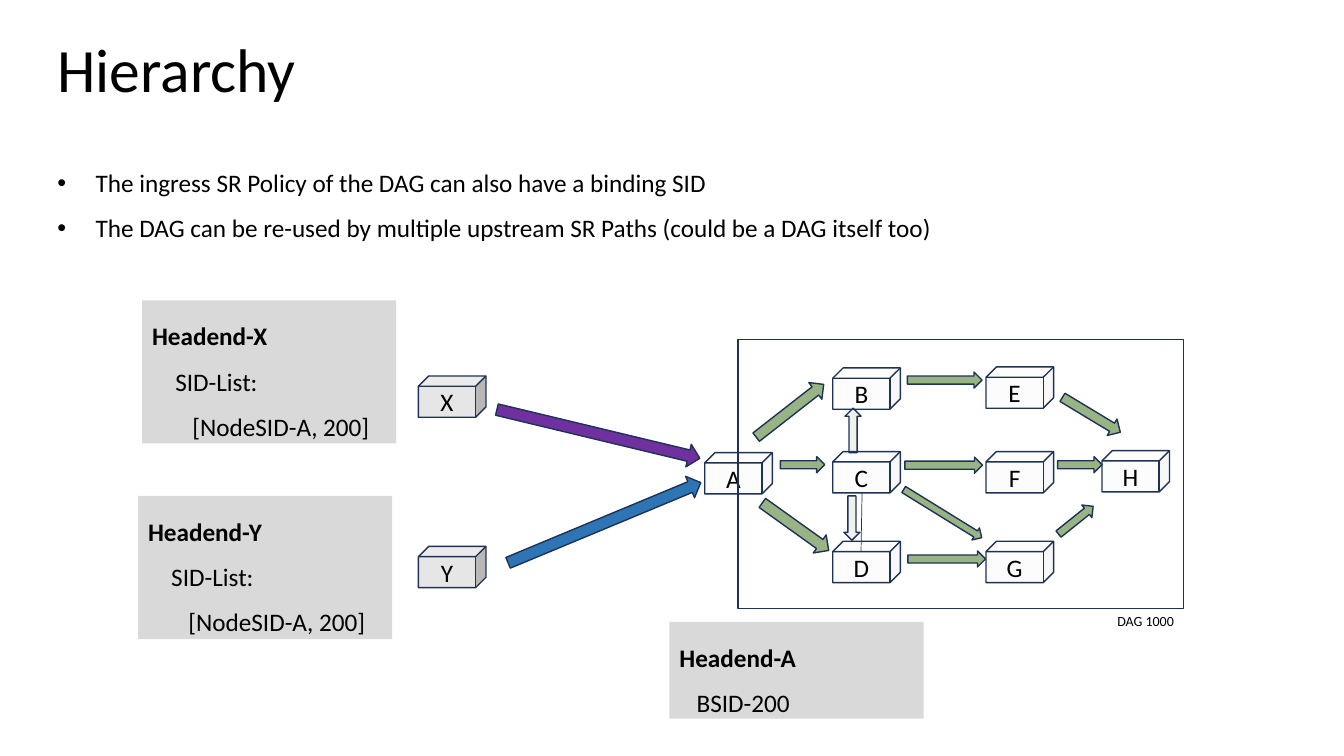
from lxml import etree
from pptx import Presentation
from pptx.dml.color import RGBColor
from pptx.enum.shapes import MSO_CONNECTOR, MSO_SHAPE
from pptx.enum.text import MSO_ANCHOR, PP_ALIGN
from pptx.oxml.ns import qn
from pptx.util import Pt

PX = 9144
FONT = "Calibri"
CUBE, ARROW, RECTANGLE = MSO_SHAPE.CUBE, MSO_SHAPE.DOWN_ARROW, MSO_SHAPE.RECTANGLE
STRAIGHT = MSO_CONNECTOR.STRAIGHT
TOP, MIDDLE = MSO_ANCHOR.TOP, MSO_ANCHOR.MIDDLE
LEFT, CENTER, RIGHT = PP_ALIGN.LEFT, PP_ALIGN.CENTER, PP_ALIGN.RIGHT

BLACK = RGBColor(0x00, 0x00, 0x00)
NAVY = RGBColor(0x1E, 0x32, 0x56)
LIGHT_GRAY = RGBColor(0xE7, 0xE6, 0xE6)
PANEL_GRAY = RGBColor(0xD9, 0xD9, 0xD9)
GREEN = RGBColor(0x54, 0x82, 0x35)
PURPLE = RGBColor(0x70, 0x30, 0xA0)
BLUE = RGBColor(0x2E, 0x75, 0xB6)

NODE_WIDTH, NODE_HEIGHT = 67, 41
FAINT, SOFT, SOLID = 9, 60, 100

DAG_NODES = [
    ("B", 94, 28), ("C", 94, 111), ("A", -33, 112), ("D", 94, 200),
    ("G", 246, 200), ("E", 246, 27), ("F", 246, 111), ("H", 361, 110),
]
DAG_ARROWS = [
    (196, 86, 16, 77, 270, SOFT),
    (331, 102, 16, 44, 270, SOFT),
    (56, 102, 16, 44, 270, SOFT),
    (41, 28, 21, 85, 232, SOFT),
    (197, 3, 16, 74, 270, SOFT),
    (341, 41, 19, 67, 301.1, SOFT),
    (199, 179, 16, 77, 270, SOFT),
    (327, 157, 16, 44, 231.3, SOFT),
    (46, 145, 22, 81, 305.6, SOFT),
    (105, 155, 16, 44, 0, FAINT),
    (196, 127, 14, 91, 301.7, SOFT),
    (106, 68, 16, 44, 180, FAINT),
]
BULLETS = [
    "The ingress SR Policy of the DAG can also have a binding SID",
    "The DAG can be re-used by multiple upstream SR Paths (could be a DAG itself too)",
]
SID_LINES = [("SID-List:", 23), ("[NodeSID-A, 200]", 40)]


def scaled(*lengths):
    return [length * PX for length in lengths]


def add_shape(slide, kind, box, color=None, opacity=SOLID, outlined=True):
    shape = slide.shapes.add_shape(kind, *scaled(*box))
    shape.shadow.inherit = False
    if color is None:
        shape.fill.background()
    else:
        shape.fill.solid()
        shape.fill.fore_color.rgb = color
    if opacity < SOLID:
        fill_color = shape.fill._xPr.find(qn("a:solidFill"))[0]
        etree.SubElement(fill_color, qn("a:alpha"), val=str(opacity * 1000))
    if outlined:
        shape.line.color.rgb = NAVY
        shape.line.width = Pt(1)
    else:
        shape.line.fill.background()
    return shape


def add_text_box(slide, box):
    shape = slide.shapes.add_textbox(*scaled(*box))
    shape.text_frame.word_wrap = True
    return shape


def write_lines(shape, lines, size=18, align=LEFT, anchor=TOP, spacing=1.0):
    frame = shape.text_frame
    frame.vertical_anchor = anchor
    for index, (text, bold) in enumerate(lines):
        paragraph = frame.paragraphs[0] if index == 0 else frame.add_paragraph()
        paragraph.alignment = align
        paragraph.line_spacing = spacing
        run = paragraph.add_run()
        run.text = text
        run.font.name = FONT
        run.font.size = Pt(size)
        run.font.bold = bold
        run.font.color.rgb = BLACK
    return frame.paragraphs


def set_indent(paragraph, margin, first_line=0):
    properties = paragraph._p.get_or_add_pPr()
    properties.set("marL", str(margin * PX))
    properties.set("indent", str(first_line * PX))
    return properties


def add_title(slide, box, text):
    write_lines(add_text_box(slide, box), [(text, False)], 44, anchor=MIDDLE, spacing=0.9)


def add_bullets(slide, box, texts):
    lines = [(text, False) for text in texts]
    for paragraph in write_lines(add_text_box(slide, box), lines, spacing=1.5):
        properties = set_indent(paragraph, 38, -38)
        etree.SubElement(properties, qn("a:buFont"), typeface="Arial")
        etree.SubElement(properties, qn("a:buChar"), char="•")


def add_node(slide, left, top, name, opacity=SOLID):
    node = add_shape(slide, CUBE, (left, top, NODE_WIDTH, NODE_HEIGHT), LIGHT_GRAY, opacity)
    write_lines(node, [(name, False)], align=CENTER, anchor=MIDDLE)


def add_arrow(slide, box, rotation, color, opacity=SOLID):
    add_shape(slide, ARROW, box, color, opacity).rotation = rotation


def add_link(slide, start, end):
    link = slide.shapes.add_connector(STRAIGHT, *scaled(*start, *end))
    link.line.color.rgb = NAVY
    link.line.width = Pt(0.5)
    etree.SubElement(link._element.spPr, qn("a:effectLst"))


def add_dag(slide, box, label):
    left, top, width, height = box
    add_link(slide, (left + 123, top + 152), (left + 122, top + 210))
    for name, x, y in DAG_NODES:
        add_node(slide, left + x, top + y, name, FAINT)
    for x, y, arrow_width, length, rotation, opacity in DAG_ARROWS:
        add_arrow(slide, (left + x, top + y, arrow_width, length), rotation, GREEN, opacity)
    add_shape(slide, RECTANGLE, box)
    caption = add_text_box(slide, (left + width - 125, top + height - 1, 125, 27))
    write_lines(caption, [(label, False)], 10, RIGHT)


def add_upstream(slide, left, top):
    add_node(slide, left, top, "X")
    add_node(slide, left, top + 169, "Y")
    add_arrow(slide, (left + 167, top - 46, 23, 207), 283.5, PURPLE)
    add_arrow(slide, (left + 173, top + 42, 23, 207), 247.4, BLUE)


def add_headend(slide, box, name, details):
    panel = add_shape(slide, RECTANGLE, box, PANEL_GRAY, outlined=False)
    lines = [(name, True)] + [(text, False) for text, _ in details]
    paragraphs = write_lines(panel, lines, spacing=1.5)
    for paragraph, (_, indent) in zip(paragraphs[1:], details):
        set_indent(paragraph, indent)


def main():
    presentation = Presentation()
    presentation.slide_width, presentation.slide_height = scaled(1333, 750)
    slide = presentation.slides.add_slide(presentation.slide_layouts[6])
    add_title(slide, (47, -1, 1150, 145), "Hierarchy")
    add_bullets(slide, (47, 146, 1028, 96), BULLETS)
    add_upstream(slide, 415, 373)
    add_dag(slide, (732, 337, 442, 267), "DAG 1000")
    add_headend(slide, (664, 617, 252, 96), "Headend-A", [("BSID-200", 17)])
    add_headend(slide, (141, 298, 252, 142), "Headend-X", SID_LINES)
    add_headend(slide, (137, 492, 252, 142), "Headend-Y", SID_LINES)
    presentation.save("out.pptx")


if __name__ == "__main__":
    main()
